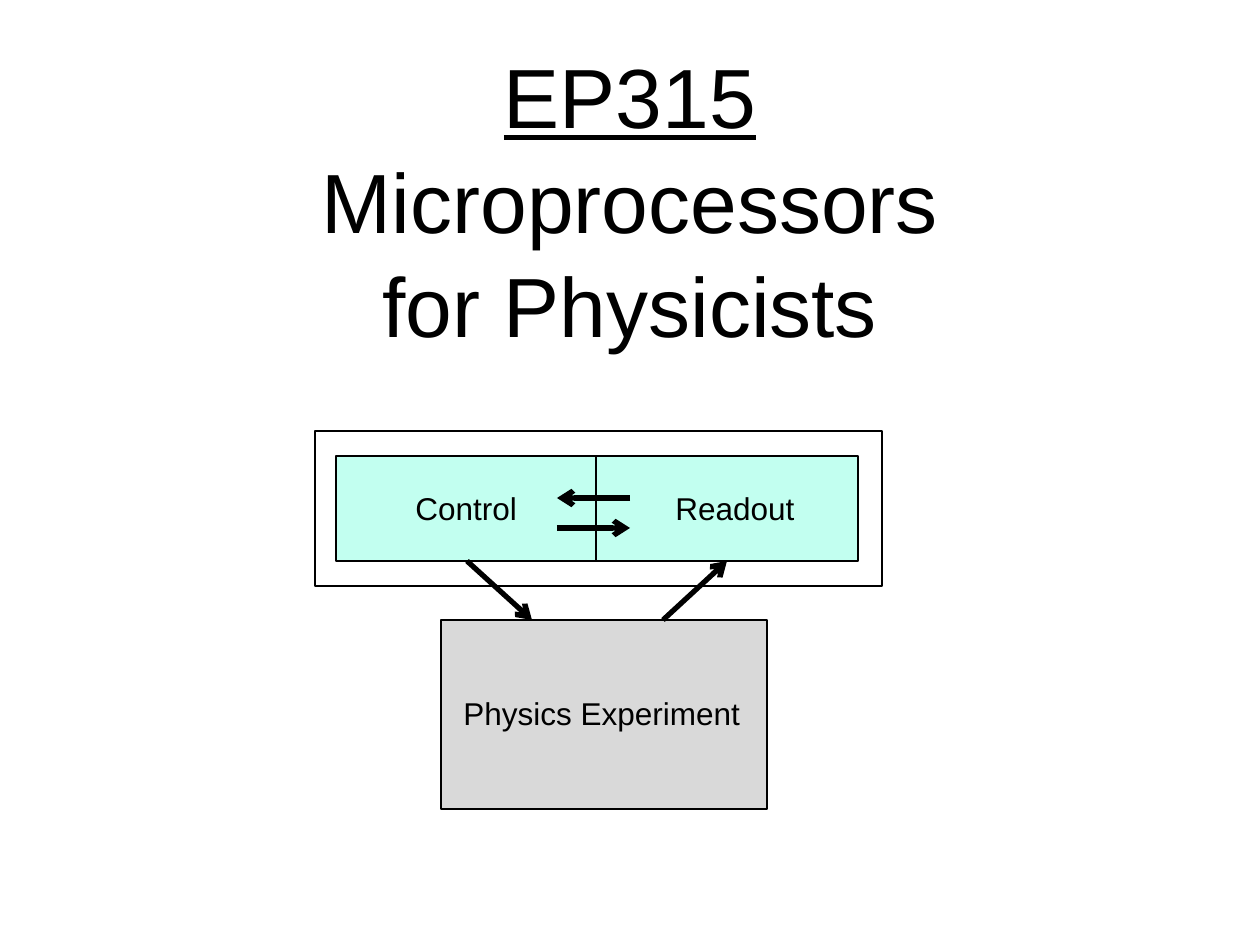
"""Build the title slide of a microprocessor course with its control and readout diagram."""
from lxml import etree
from pptx import Presentation
from pptx.dml.color import RGBColor
from pptx.enum.shapes import MSO_CONNECTOR, MSO_SHAPE
from pptx.enum.text import MSO_ANCHOR, PP_ALIGN
from pptx.oxml.ns import qn
from pptx.util import Emu, Pt

RECT, STRAIGHT = MSO_SHAPE.RECTANGLE, MSO_CONNECTOR.STRAIGHT
MIDDLE, CENTER = MSO_ANCHOR.MIDDLE, PP_ALIGN.CENTER
PX = 914400 / 126
BLACK, MINT, GREY = "000000", "C2FFF0", "D9D9D9"


def px(*lengths):
    return [Emu(round(n * PX)) for n in lengths]


def rgb(value):
    return RGBColor.from_string(value)


prs = Presentation()
prs.slide_width, prs.slide_height = px(1260, 945)
s = prs.slides.add_slide(prs.slide_layouts[6])

tf = s.shapes.add_textbox(*px(0, 48, 1260, 299)).text_frame
tf.word_wrap = True
tf.vertical_anchor = MIDDLE
p = tf.paragraphs[0]
p.alignment = CENTER
p.line_spacing = 1.04
for i, line in enumerate(["EP315", "Microprocessors", "for Physicists"]):
    if i:
        p.add_line_break()
    r = p.add_run()
    r.text = line
    r.font.color.rgb = rgb(BLACK)
    for name, value in {"name": "Arial", "size": Pt(48), "underline": i == 0}.items():
        setattr(r.font, name, value)

boxes = [
    ((441, 620, 326, 189), GREY),
    ((336, 456, 262, 105), MINT),
    ((596, 456, 262, 105), MINT),
    ((315, 431, 567, 155), None),
]
for place, fill in boxes:
    sp = s.shapes.add_shape(RECT, *px(*place))
    sp.shadow.inherit = False
    if fill:
        sp.fill.solid()
        sp.fill.fore_color.rgb = rgb(fill)
    else:
        sp.fill.background()
    sp.line.color.rgb = rgb(BLACK)
    sp.line.width = Pt(0.75)

labels = [
    ("Physics Experiment", (451, 688, 305, 50)),
    ("Control", (403, 483, 129, 50)),
    ("Readout", (663, 483, 146, 50)),
]
for text, place in labels:
    tf = s.shapes.add_textbox(*px(*place)).text_frame
    tf.word_wrap = False
    r = tf.paragraphs[0].add_run()
    r.text = text
    r.font.color.rgb = rgb(BLACK)
    for name, value in {"name": "Arial", "size": Pt(18)}.items():
        setattr(r.font, name, value)

arrows = [
    (467, 561, 532, 620),
    (663, 620, 727, 561),
    (630, 498, 557, 498),
    (557, 528, 630, 528),
]
for ends in arrows:
    sp = s.shapes.add_connector(STRAIGHT, *px(*ends))
    sp.line.color.rgb = rgb(BLACK)
    sp.line.width = Pt(3)
    etree.SubElement(sp.line._get_or_add_ln(), qn("a:tailEnd"), type="arrow")
    etree.SubElement(sp._element.spPr, qn("a:effectLst"))

prs.save("out.pptx")
